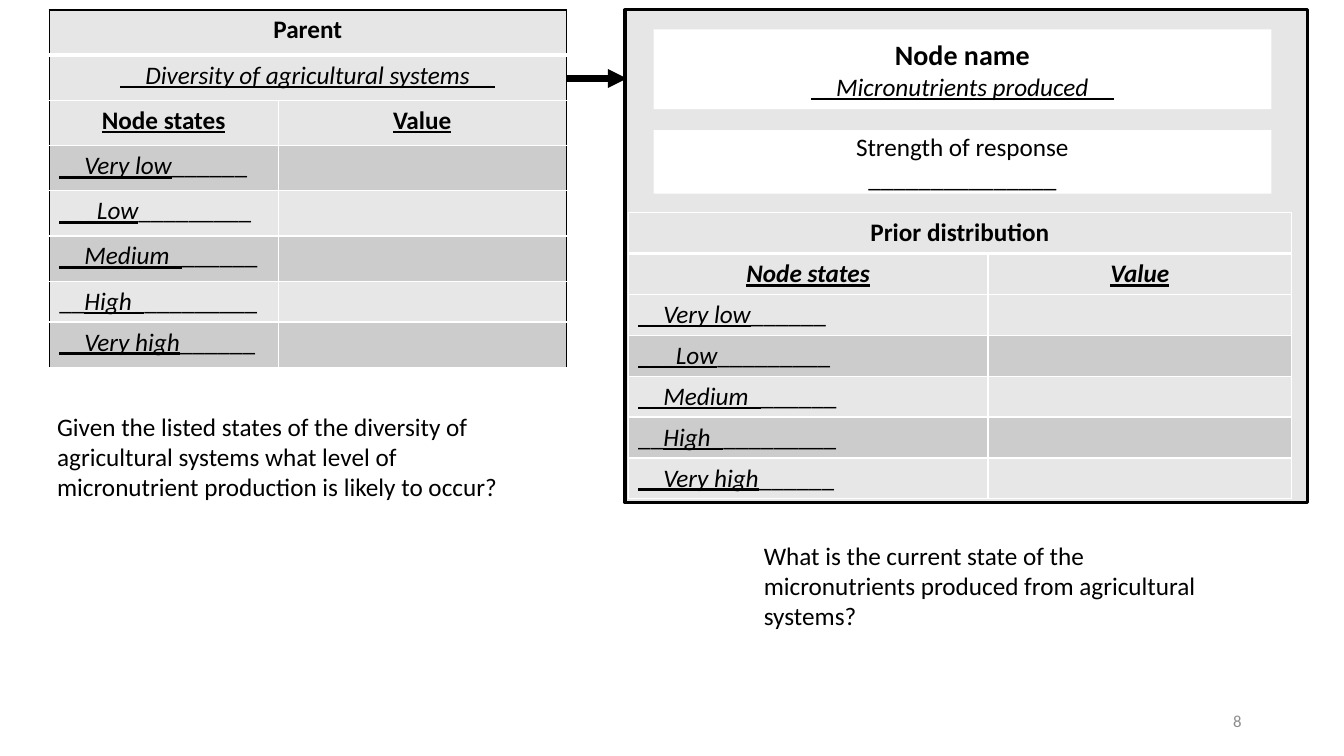
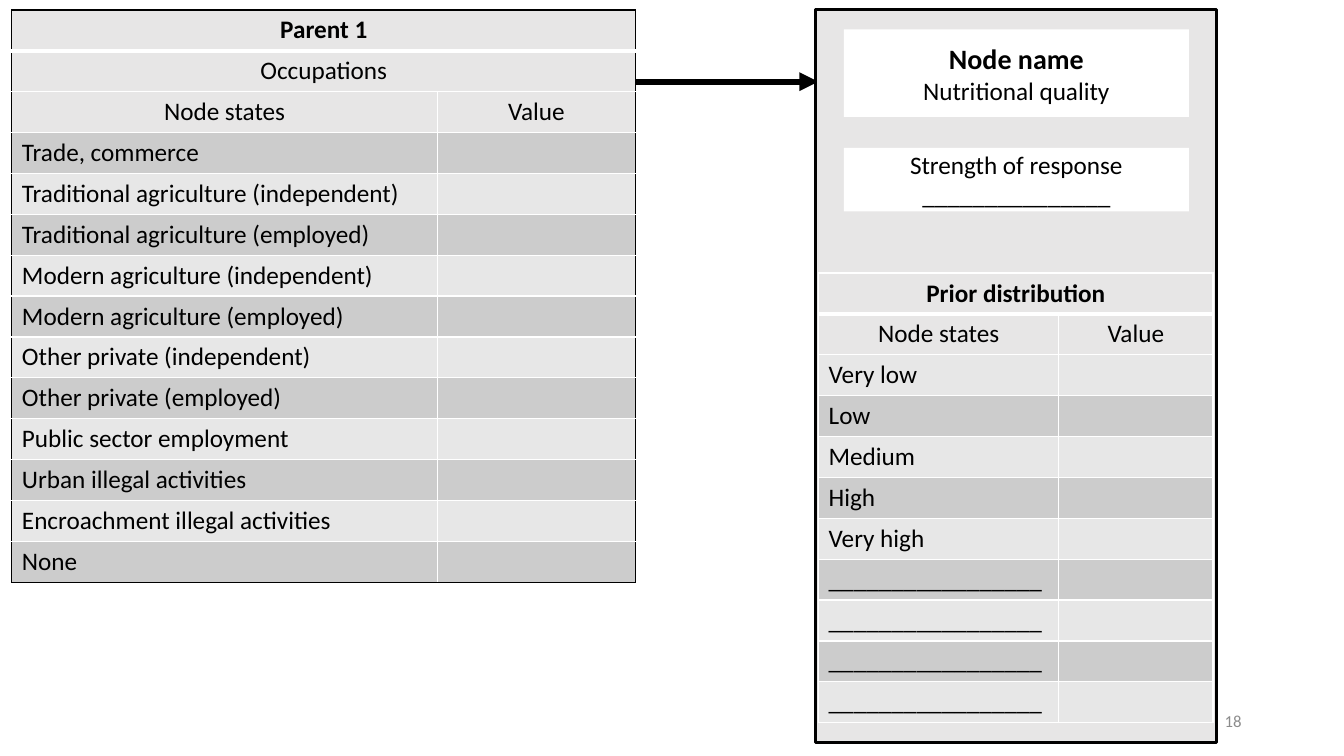
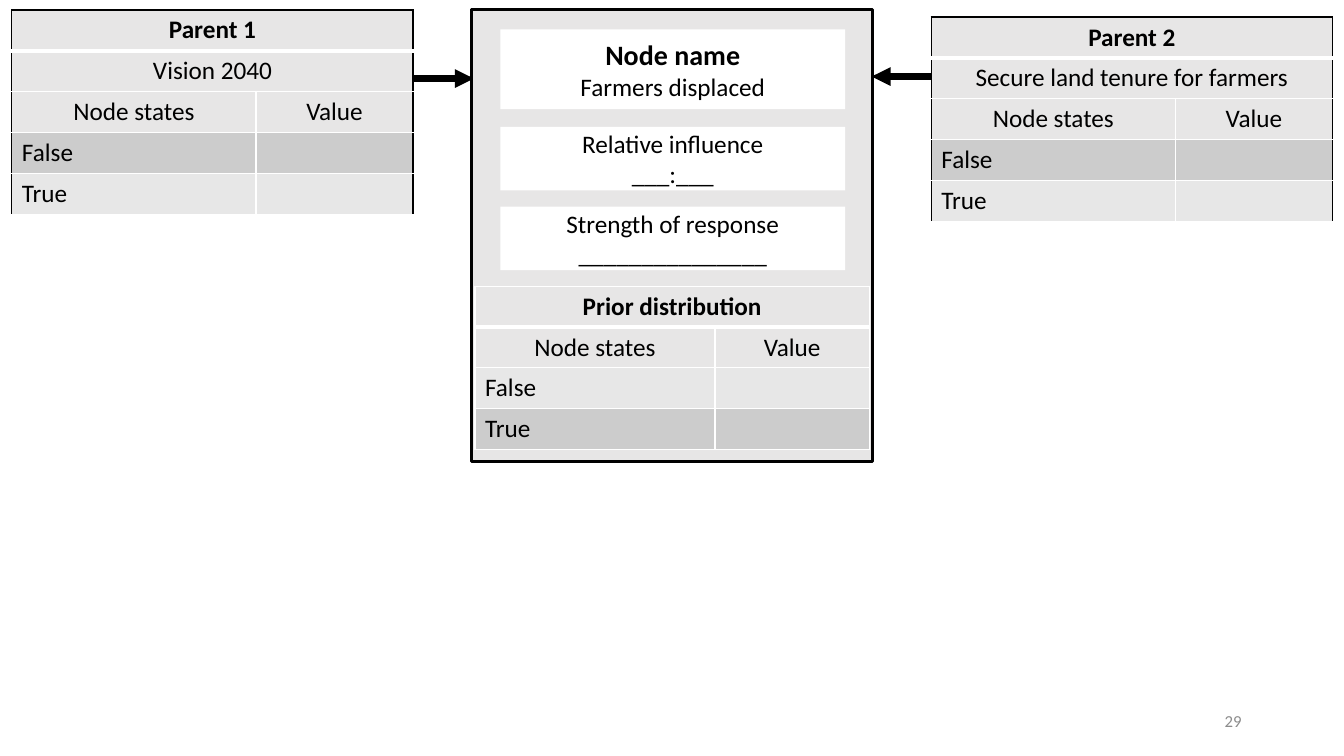
from lxml import etree
from pptx import Presentation
from pptx.dml.color import RGBColor
from pptx.enum.shapes import MSO_CONNECTOR, MSO_SHAPE
from pptx.enum.text import MSO_ANCHOR, PP_ALIGN
from pptx.oxml.ns import qn
from pptx.util import Cm, Pt

ELBOW = MSO_CONNECTOR.ELBOW
RECTANGLE = MSO_SHAPE.RECTANGLE
MIDDLE = MSO_ANCHOR.MIDDLE
LEFT = PP_ALIGN.LEFT
CENTER = PP_ALIGN.CENTER
RIGHT = PP_ALIGN.RIGHT

FONT = "Calibri"
BLACK = "000000"
WHITE = "FFFFFF"
PANEL_GREY = "E7E6E6"
LIGHT_GREY = "E7E7E7"
DARK_GREY = "CCCCCC"
NUMBER_GREY = "8C8C8C"
ROW_HEIGHT = 1.03
PANEL_TOP = 0.25
BOX_INSET = 0.72
TABLE_INSET = 0.08

PLAIN = {}
BOLD = {"bold": True}
FILLED_IN = {"italic": True, "underline": True}


def paint(fill, color):
    fill.solid()
    fill.fore_color.rgb = RGBColor.from_string(color)


def write(para, text, size=18, bold=False, italic=False, underline=False,
          color=BLACK, align=LEFT):
    para.alignment = align
    span = para.add_run()
    span.text = text
    span.font.name = FONT
    span.font.size = Pt(size)
    span.font.bold = bold
    span.font.italic = italic
    span.font.underline = underline
    paint(span.font.fill, color)


blank_states = [
    [("__Very low", FILLED_IN), ("______", PLAIN)],
    [("___Low", FILLED_IN), ("_________", PLAIN)],
    [("__Medium_", FILLED_IN), ("______", PLAIN)],
    [("__", PLAIN), ("High_", FILLED_IN), ("_________", PLAIN)],
    [("__Very high", FILLED_IN), ("______", PLAIN)],
]
truth_states = [[(name, PLAIN)] for name in ("False", "True")]
level_states = [[(name, PLAIN)] for name in (
    "Very low", "Low", "Medium", "High", "Very high", *["_" * 17] * 4)]
occupation_states = [[(name, PLAIN)] for name in (
    "Trade, commerce",
    "Traditional agriculture (independent)",
    "Traditional agriculture (employed)",
    "Modern agriculture (independent)",
    "Modern agriculture (employed)",
    "Other private (independent)",
    "Other private (employed)",
    "Public sector employment",
    "Urban illegal activities",
    "Encroachment illegal activities",
    "None",
)]

response = ["Strength of response", "_" * 15]
influence = ["Relative influence", "___:___"]

pages = [
    {
        "number": "8",
        "arrows": [(11.84, 2.16, 15.8, 1.98)],
        "panel": (15.75, 17.2, 12.42),
        "box_width": 15.57,
        "node": ("Micronutrients produced".join(["__", "__"]), FILLED_IN, 2.01),
        "boxes": [(3.28, response)],
        "parents": [{
            "at": (1.24, 0.25), "columns": (5.77, 7.26),
            "titles": [("Parent", BOLD), ("__Diversity of agricultural systems__", FILLED_IN)],
            "heading": {"bold": True, "underline": True},
            "states": blank_states, "bottom": WHITE,
            "heights": [1.14] * 6 + [ROW_HEIGHT, 1.14],
        }],
        "prior": {
            "top": 5.36, "columns": (9.07, 7.65), "states": blank_states,
            "heading": {"bold": True, "italic": True, "underline": True},
        },
        "questions": [
            (1.19, 10.24, "Given the listed states of the diversity of agricultural systems "
                          "what level of micronutrient production is likely to occur?"),
            (19, 13.49, "What is the current state of the micronutrients produced "
                        "from agricultural systems?"),
        ],
    },
    {
        "number": "18",
        "arrows": [(7.95, 2.16, 20.62, 2.06)],
        "panel": (20.55, 10.11, 18.47),
        "box_width": 8.69,
        "node": ("Nutritional quality", PLAIN, 2.21),
        "boxes": [(3.73, response)],
        "parents": [{
            "at": (0.3, 0.25), "columns": (10.72, 5),
            "titles": [("Parent 1", BOLD), ("Occupations", PLAIN)],
            "heading": PLAIN, "states": occupation_states, "bottom": BLACK,
        }],
        "prior": {"top": 6.88, "columns": (6.05, 3.89), "states": level_states, "heading": PLAIN},
        "questions": [],
    },
    {
        "number": "29",
        "arrows": [(7.95, 2.16, 11.94, 1.98), (25.48, 1.98, 21.97, 1.93)],
        "panel": (11.89, 10.11, 11.38),
        "box_width": 8.69,
        "node": ("Farmers displaced", PLAIN, 2.01),
        "boxes": [(3.2, influence), (5.21, response)],
        "parents": [
            {
                "at": at, "columns": (6.15, 3.96),
                "titles": [(title, BOLD), (name, PLAIN)],
                "heading": PLAIN, "states": truth_states, "bottom": WHITE,
            }
            for at, title, name in (
                ((0.3, 0.25), "Parent 1", "Vision 2040"),
                ((23.47, 0.43), "Parent 2", "Secure land tenure for farmers"),
            )
        ],
        "prior": {"top": 7.21, "columns": (6.05, 3.89), "states": truth_states, "heading": PLAIN},
        "questions": [],
    },
]

deck = Presentation()
deck.slide_width = Cm(33.87)
deck.slide_height = Cm(19.05)

for page in pages:
    slide = deck.slides.add_slide(deck.slide_layouts[6])
    shapes = slide.shapes

    for ends in page["arrows"]:
        arrow = shapes.add_connector(ELBOW, *[Cm(value) for value in ends])
        paint(arrow.line.fill, BLACK)
        arrow.line.width = Pt(4.5)
        properties = arrow._element.spPr
        etree.SubElement(properties.find(qn("a:ln")), qn("a:tailEnd"), type="triangle")
        etree.SubElement(properties, qn("a:effectLst"))

    panel_left, panel_width, panel_height = page["panel"]
    panel = shapes.add_shape(RECTANGLE, Cm(panel_left), Cm(PANEL_TOP),
                             Cm(panel_width), Cm(panel_height))
    panel.shadow.inherit = False
    paint(panel.fill, PANEL_GREY)
    paint(panel.line.fill, BLACK)
    panel.line.width = Pt(2.25)

    node_name, node_format, node_height = page["node"]
    boxes = [(top, 1.6, [(line, PLAIN) for line in lines]) for top, lines in page["boxes"]]
    boxes.append((0.74, node_height,
                  [("Node name", {"size": 20, "bold": True}), (node_name, node_format)]))
    for top, height, lines in boxes:
        box = shapes.add_shape(RECTANGLE, Cm(panel_left + BOX_INSET), Cm(top),
                               Cm(page["box_width"]), Cm(height))
        box.shadow.inherit = False
        paint(box.fill, WHITE)
        box.line.fill.background()
        frame = box.text_frame
        frame.word_wrap = True
        frame.vertical_anchor = MIDDLE
        for index, (line, line_format) in enumerate(lines):
            para = frame.add_paragraph() if index else frame.paragraphs[0]
            write(para, line, align=CENTER, **line_format)

    prior = {
        **page["prior"],
        "at": (panel_left + TABLE_INSET, page["prior"]["top"]),
        "titles": [("Prior distribution", BOLD)],
        "edge": WHITE,
        "bottom": WHITE,
    }
    for grid in [*page["parents"], prior]:
        titles, heading, edge = grid["titles"], grid["heading"], grid.get("edge", BLACK)
        rows = [[[title]] for title in titles]
        rows.append([[("Node states", heading)], [("Value", heading)]])
        rows += [[state] for state in grid["states"]]
        heights = grid.get("heights", [ROW_HEIGHT] * len(rows))
        left, top = grid["at"]
        table = shapes.add_table(len(rows), 2, Cm(left), Cm(top),
                                 Cm(sum(grid["columns"])), Cm(sum(heights))).table
        table.first_row = False
        table.horz_banding = False
        for column, width in zip(table.columns, grid["columns"]):
            column.width = Cm(width)

        for row, texts in enumerate(rows):
            table.rows[row].height = Cm(heights[row])
            merged = row < len(titles)
            is_header = row <= len(titles)
            if merged:
                table.cell(row, 0).merge(table.cell(row, 1))
            for column in range(2):
                cell = table.cell(row, column)
                borders = {
                    "a:lnL": (edge if column == 0 else WHITE, 1),
                    "a:lnR": (edge if column == 1 or merged else WHITE, 1),
                    "a:lnT": (edge if row == 0 else WHITE, 3 if row == 1 else 1),
                    "a:lnB": (grid["bottom"] if row == len(rows) - 1 else WHITE,
                              3 if row == 0 else 1),
                }
                cell_properties = cell._tc.get_or_add_tcPr()
                for tag, (color, weight) in borders.items():
                    border = etree.SubElement(cell_properties, qn(tag), w=str(Pt(weight)))
                    solid = etree.SubElement(border, qn("a:solidFill"))
                    etree.SubElement(solid, qn("a:srgbClr"), val=color)
                body_color = DARK_GREY if row % 2 else LIGHT_GREY
                paint(cell.fill, PANEL_GREY if is_header else body_color)
            for column, spans in enumerate(texts):
                para = table.cell(row, column).text_frame.paragraphs[0]
                for text, text_format in spans:
                    write(para, text, align=CENTER if is_header else LEFT, **text_format)

    for left, top, question in page["questions"]:
        box = shapes.add_textbox(Cm(left), Cm(top), Cm(12.42), Cm(2.57))
        box.text_frame.word_wrap = True
        write(box.text_frame.paragraphs[0], question)

    number = shapes.add_textbox(Cm(23.92), Cm(17.66), Cm(7.62), Cm(1.01))
    number.text_frame.word_wrap = True
    number.text_frame.vertical_anchor = MIDDLE
    write(number.text_frame.paragraphs[0], page["number"], size=12,
          color=NUMBER_GREY, align=RIGHT)

deck.save("out.pptx")
